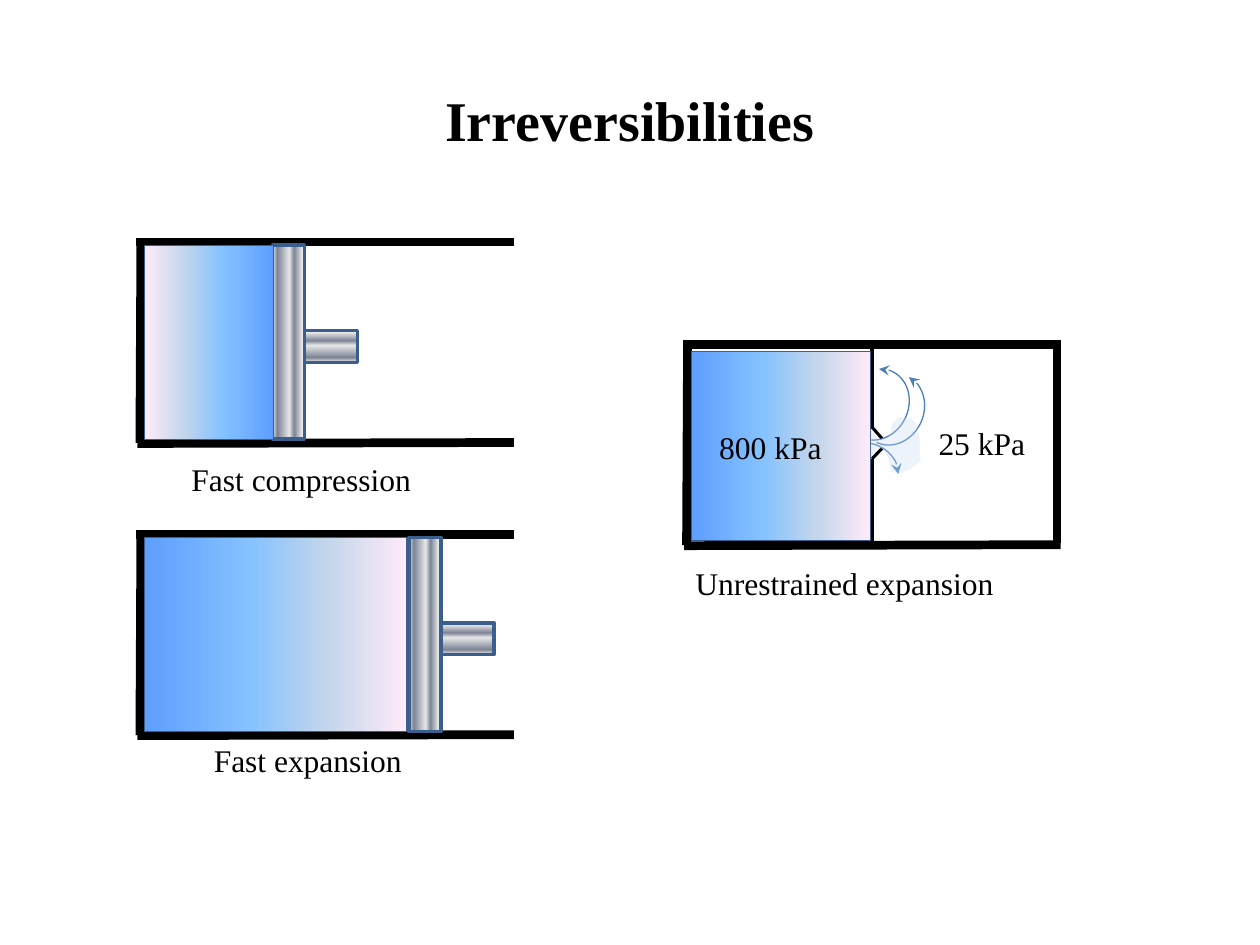
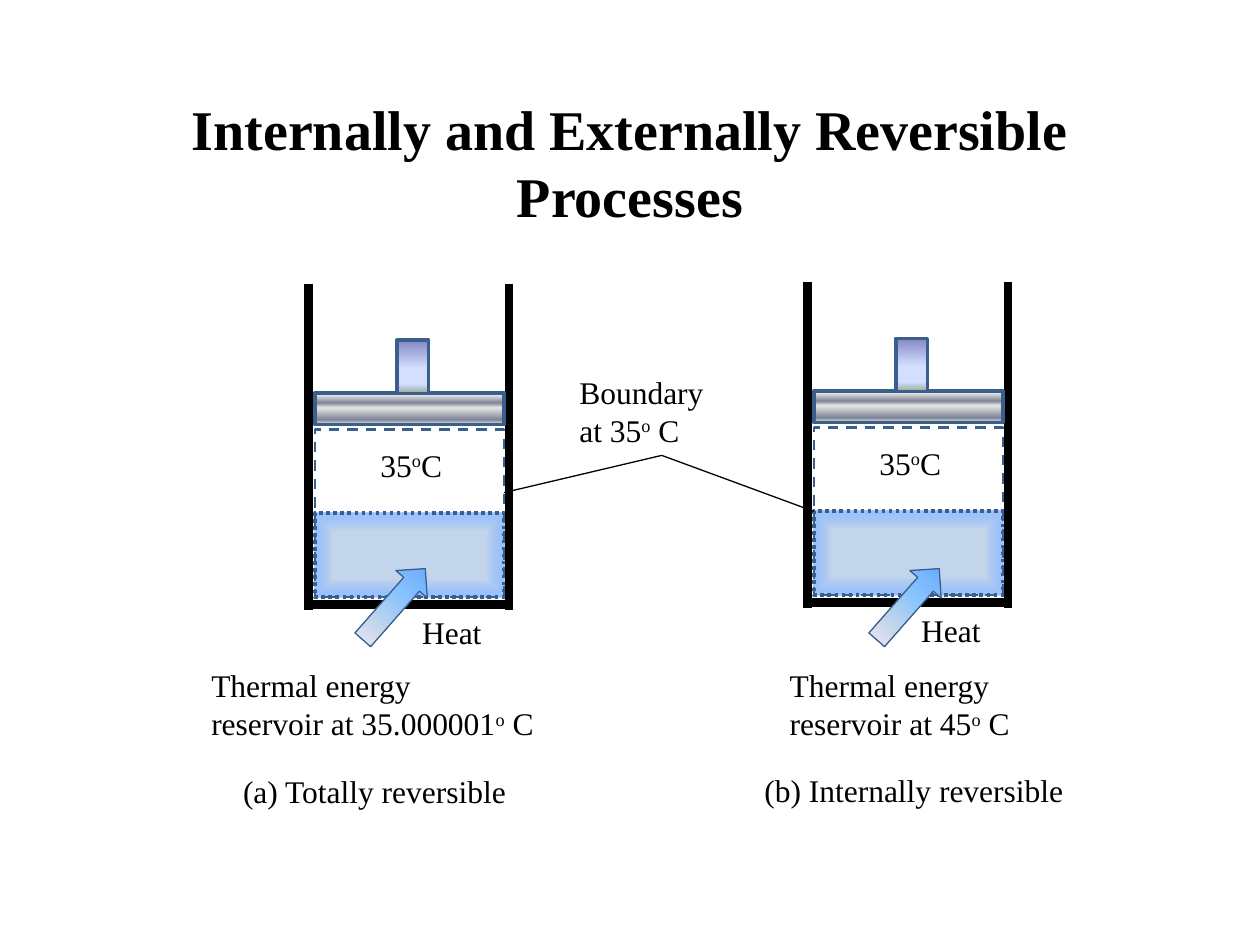
from dataclasses import dataclass

from lxml import etree
from pptx import Presentation
from pptx.dml.color import RGBColor
from pptx.enum.dml import MSO_LINE
from pptx.enum.shapes import MSO_CONNECTOR, MSO_SHAPE
from pptx.enum.text import MSO_AUTO_SIZE, PP_ALIGN
from pptx.oxml.ns import qn
from pptx.util import Cm, Pt

RECT, ARROW, ARC = MSO_SHAPE.RECTANGLE, MSO_SHAPE.RIGHT_ARROW, MSO_SHAPE.ARC
STRAIGHT = MSO_CONNECTOR.STRAIGHT
DASH, DOT = MSO_LINE.DASH, MSO_LINE.ROUND_DOT
LEFT, CENTER = PP_ALIGN.LEFT, PP_ALIGN.CENTER
FIT = MSO_AUTO_SIZE.SHAPE_TO_FIT_TEXT
LEFT_SIDE = 1


@dataclass(frozen=True)
class Theme:
    """Colours, gradients, line widths and type of the deck."""
    ink: str = "000000"
    edge: str = "3A5F8C"
    jet: str = "4B7EBC"
    cloud: str = "C6D9F1"
    gas: tuple = ((0, "5E9EFF"), (40, "85C2FF"), (70, "C4D6EB"), (100, "FFEBFA"))
    metal: tuple = ((0, "FFFFFF"), (7, "E6E6E6"), (32, "7D8496"),
                    (47, "E6E6E6"), (85, "7D8496"), (100, "E6E6E6"))
    rod: tuple = ((0, "8488C4"), (53, "D4DEFF"), (83, "D4DEFF"), (100, "96AB94"))
    fluid: tuple = ((56, "C4D6EB"), (100, "5E9EFF", 63),
                    (100, "85C2FF", 97), (100, "FFEBFA"))
    wall: float = 5
    valve: float = 1.75
    heavy: float = 2
    medium: float = 1.5
    thin: float = 0.75

    def font(self, title):
        """Return the font values of a title or of body text."""
        return {"name": "Times New Roman", "size": Pt(32 if title else 18), "bold": title}


class Deck:
    """Holds the theme and the current slide and draws on it."""

    def __init__(self):
        """Start an empty presentation."""
        self.theme = Theme()
        self.prs = Presentation()
        self.prs.slide_width, self.prs.slide_height = Cm(25.4), Cm(19.05)

    def slide(self, title, top):
        """Add a blank slide with its title."""
        self.s = self.prs.slides.add_slide(self.prs.slide_layouts[6])
        self.text(title, 1.27, top, 22.86, 2.46, title=True)

    def text(self, text, x, y, w, h=1.02, title=False, wrap=True):
        """Add text, with superscripts written between carets."""
        tf = self.s.shapes.add_textbox(Cm(x), Cm(y), Cm(w), Cm(h)).text_frame
        tf.word_wrap = wrap
        if not title:
            tf.auto_size = FIT
        for i, line in enumerate(text.split("\n")):
            p = tf.add_paragraph() if i else tf.paragraphs[0]
            p.alignment = CENTER if title else LEFT
            for j, part in enumerate(line.split("^")):
                r = p.add_run()
                r.text = part
                for name, value in self.theme.font(title).items():
                    setattr(r.font, name, value)
                r.font.color.rgb = RGBColor.from_string(self.theme.ink)
                if j % 2:
                    r._r.get_or_add_rPr().set("baseline", "30000")

    def outline(self, sp, color, width, dash=None):
        """Set the line of a shape or connector."""
        sp.line.color.rgb = RGBColor.from_string(color)
        sp.line.width = Pt(width)
        if dash:
            sp.line.dash_style = dash

    def line(self, x1, y1, x2, y2, width):
        """Add a straight black line."""
        c = self.s.shapes.add_connector(STRAIGHT, Cm(x1), Cm(y1), Cm(x2), Cm(y2))
        self.outline(c, self.theme.ink, width)
        etree.SubElement(c._element.spPr, qn("a:effectLst"))
        return c

    def gradient(self, sp, stops, angle):
        """Fill with colour stops, along an angle or from the centre if it is None."""
        sp.fill.gradient()
        grad = sp._element.spPr.find(qn("a:gradFill"))
        for child in list(grad):
            grad.remove(child)
        gs_list = etree.SubElement(grad, qn("a:gsLst"))
        for pos, color, *alpha in stops:
            gs = etree.SubElement(gs_list, qn("a:gs"), pos=str(pos * 1000))
            clr = etree.SubElement(gs, qn("a:srgbClr"), val=color)
            for value in alpha:
                etree.SubElement(clr, qn("a:alpha"), val=str(value * 1000))
        if angle is None:
            path = etree.SubElement(grad, qn("a:path"), path="shape")
            etree.SubElement(path, qn("a:fillToRect"), dict.fromkeys("ltrb", "50000"))
        else:
            etree.SubElement(grad, qn("a:lin"), ang=str(angle * 60000), scaled="0")

    def shape(self, x, y, w, h, stops=None, angle=0, width=Theme.thin,
              kind=RECT, rot=0, dash=None, color=Theme.edge):
        """Add a preset shape with a gradient or no fill."""
        sp = self.s.shapes.add_shape(kind, Cm(x), Cm(y), Cm(w), Cm(h))
        sp.shadow.inherit = False
        sp.rotation = rot
        if stops:
            self.gradient(sp, stops, angle)
        else:
            sp.fill.background()
        self.outline(sp, color, width, dash)
        return sp

    def arc(self, x, y, start, end, arrow, rot=0):
        """Add an arc of the jet with an arrowhead at one end."""
        sp = self.shape(x, y, 1.47, 1.27, kind=ARC, rot=rot, color=self.theme.jet)
        for i, degrees in enumerate((start, end)):
            sp.adjustments[i] = degrees * 0.6
        etree.SubElement(sp._element.spPr.find(qn("a:ln")), qn(f"a:{arrow}"), type="stealth")

    def freeform(self, points, color, alpha):
        """Add a closed outline with a translucent fill and no line."""
        start, *rest = [(Cm(x), Cm(y)) for x, y in points]
        fb = self.s.shapes.build_freeform(*start)
        fb.add_line_segments(rest, close=True)
        sp = fb.convert_to_shape()
        sp.shadow.inherit = False
        sp.fill.solid()
        sp.fill.fore_color.rgb = RGBColor.from_string(color)
        clr = sp._element.spPr.find(qn("a:solidFill"))[0]
        etree.SubElement(clr, qn("a:alpha"), val=str(alpha * 1000))
        sp.line.fill.background()

    def cylinder(self, dx, dy):
        """Add the top, bottom and left walls of a lying cylinder."""
        for x1, y1, x2, y2 in ((10.36, 4.88, 2.74, 4.88), (10.36, 8.92, 2.77, 8.94),
                               (2.84, 4.9, 2.82, 8.93)):
            self.line(x1 + dx, y1 + dy, x2 + dx, y2 + dy, self.theme.wall)

    def piston(self, dx, dy):
        """Add a lying piston and its rod."""
        t = self.theme
        self.shape(3.86 + dx, 6.58 + dy, 3.91, 0.64, t.metal, 90, t.heavy, rot=90)
        self.shape(6.35 + dx, 6.45 + dy, 0.64, 1.07, t.metal, 0, t.heavy, rot=90)

    def vessel(self, dx, dy):
        """Add a standing vessel and return its dashed boundary."""
        t = self.theme
        self.shape(6.35 + dx, 10.34 + dy, 3.81, 1.7, t.fluid, None, t.heavy, dash=DOT)
        for x1, y1, x2, y2 in ((6.22, 5.72, 6.22, 12.29), (10.26, 5.72, 10.26, 12.29),
                               (6.25, 12.19, 10.26, 12.19)):
            self.line(x1 + dx, y1 + dy, x2 + dx, y2 + dy, t.wall)
        self.shape(6.35 + dx, 7.92 + dy, 3.81, 0.64, t.metal, 90, t.heavy)
        self.shape(8 + dx, 6.86 + dy, 0.64, 1.07, t.rod, 90, t.heavy)
        self.text("Heat", 8.26 + dx, 12.24 + dy, 2.11)
        self.text("35^o^C", 7.42 + dx, 8.86 + dy, 1.8, wrap=False)
        return self.shape(6.35 + dx, 8.66 + dy, 3.81, 3.38, width=t.medium, dash=DASH)


def irreversibilities(deck):
    """Build the slide on fast and unrestrained processes."""
    t = deck.theme
    deck.slide("Irreversibilities", 1.6)
    for dx, dy, gas_width, angle in ((0, 0, 2.59, 180), (2.75, 5.89, 5.28, 0)):
        deck.cylinder(0, dy)
        deck.piston(dx, dy)
        deck.shape(2.92, 4.95 + dy, gas_width, 3.91, t.gas, angle)

    deck.cylinder(11.02, 2.06)
    deck.line(21.31, 6.93, 21.31, 10.95, t.wall)
    for valve in ((17.58, 6.93, 17.58, 8.64), (17.58, 9.25, 17.58, 10.95),
                  (17.58, 8.61, 17.78, 8.84), (17.58, 9.25, 17.78, 9.04)):
        deck.line(*valve, t.valve)
    deck.arc(16.64, 8.92, 158.27, 0, "tailEnd")
    deck.arc(16.94, 7.52, 158.27, 0, "headEnd", 115.3)
    deck.arc(17.25, 7.62, 182.17, 0, "headEnd", 115.3)
    deck.arc(16.94, 8.97, 158.27, 200.76, "tailEnd")
    deck.shape(13.94, 7.09, 3.61, 3.81, t.gas)
    deck.text("800 kPa", 14.25, 8.51, 3.43)
    deck.text("25 kPa", 18.67, 8.43, 2.97)
    deck.freeform((
        (17.55, 8.64), (17.58, 8.71), (17.6, 8.74), (17.7, 8.84), (17.83, 8.86),
        (17.88, 8.86), (17.96, 8.69), (17.98, 8.56), (18.03, 8.51), (18.11, 8.41),
        (18.36, 8.43), (18.47, 8.53), (18.49, 8.64), (18.54, 8.84), (18.54, 9.19),
        (18.57, 9.25), (18.49, 9.35), (18.34, 9.47), (18.11, 9.55), (17.96, 9.5),
        (17.91, 9.25), (17.83, 9.09), (17.78, 9.04), (17.65, 9.07), (17.6, 9.17),
        (17.55, 9.25)), t.cloud, 30)
    deck.text("Fast compression", 3.61, 9.14, 6.78)
    deck.text("Fast expansion", 4.06, 14.81, 5.92)
    deck.text("Unrestrained expansion", 13.77, 11.25, 9.09)


def reversible_processes(deck):
    """Build the slide comparing the two reversible processes."""
    t = deck.theme
    deck.slide("Internally and Externally Reversible Processes", 1.78)
    deck.vessel(0, 0)
    boundary = deck.vessel(10.06, -0.04)
    for x in (6.99, 17.35):
        deck.shape(x, 11.76, 1.91, 0.84, t.gas, 180, kind=ARROW, rot=311.3)
    reservoir = "Thermal energy\nreservoir at {}^o^ C"
    deck.text(reservoir.format("35.000001"), 4.01, 13.31, 8.89, 1.8)
    deck.text(reservoir.format("45"), 15.67, 13.31, 6.55, 1.8)
    deck.text("Boundary\nat 35^o^ C", 11.43, 7.39, 3.81, 1.8)
    deck.line(10.16, 9.93, 13.34, 9.18, t.thin)
    leader = deck.line(13.34, 9.18, 16.41, 10.21, t.thin)
    leader.end_connect(boundary, LEFT_SIDE)
    deck.text("(a) Totally reversible", 4.65, 15.44, 7.42)
    deck.text("(b) Internally reversible", 15.16, 15.42, 8.89)


def main():
    """Build and save the deck."""
    deck = Deck()
    irreversibilities(deck)
    reversible_processes(deck)
    deck.prs.save("out.pptx")


if __name__ == "__main__":
    main()
